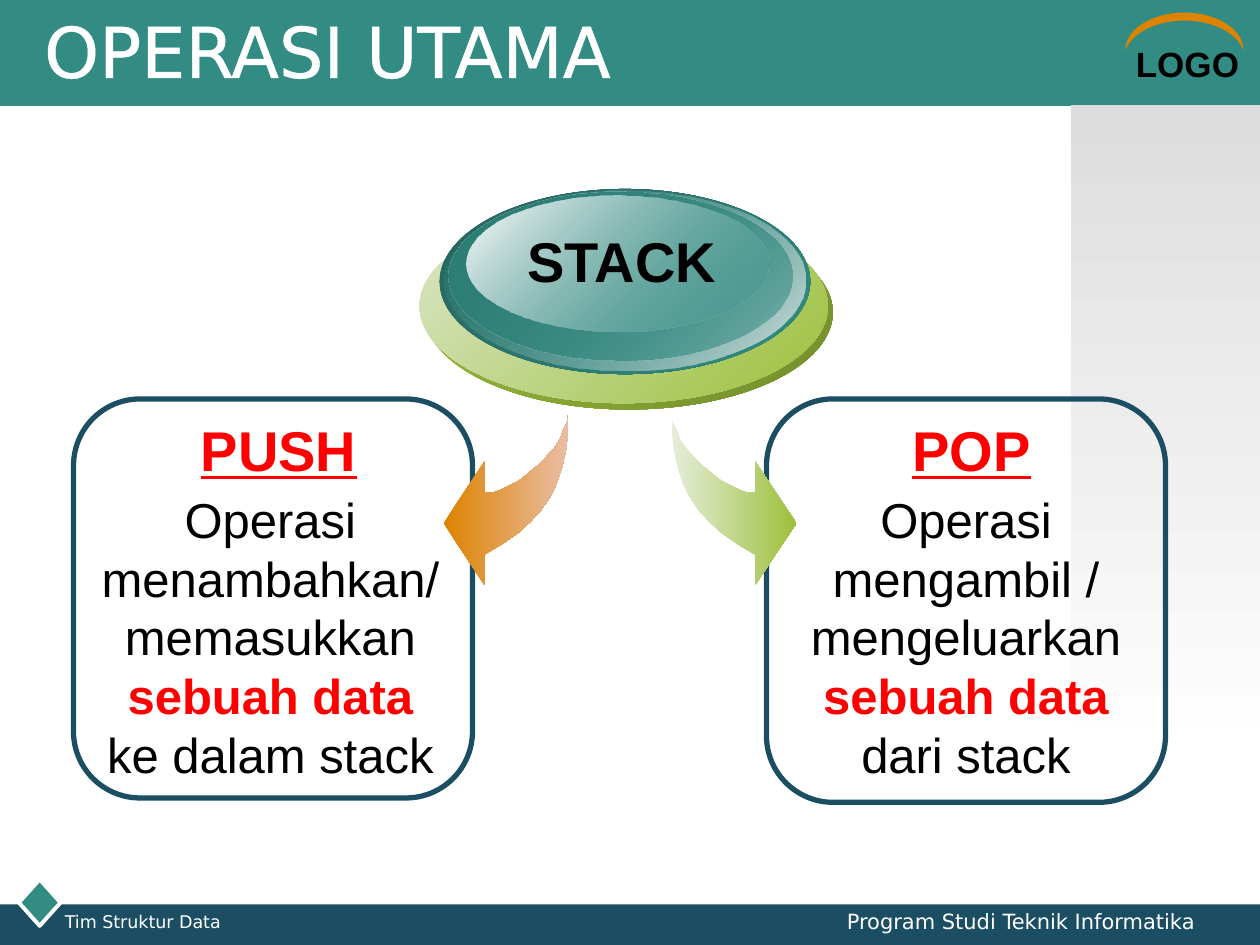
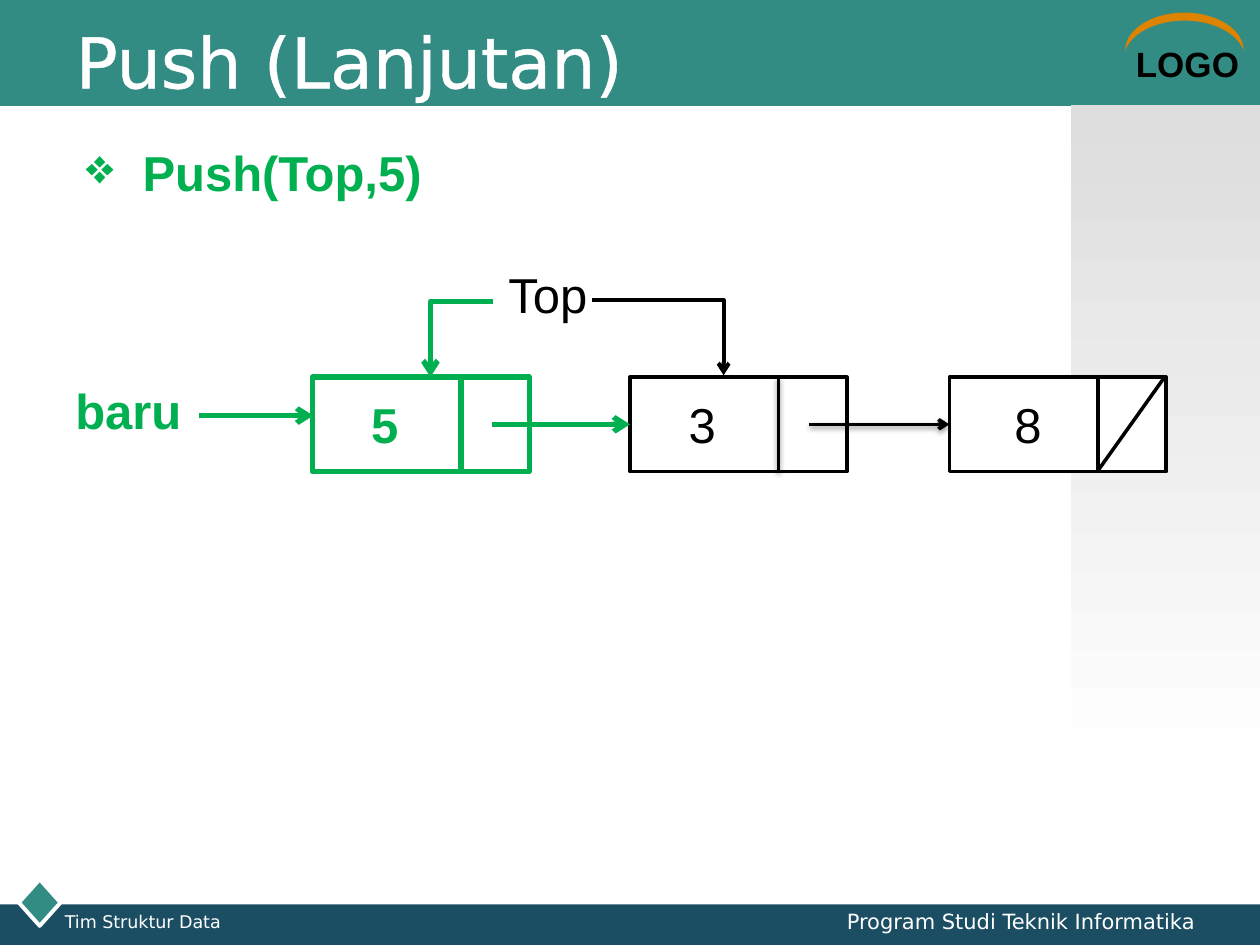
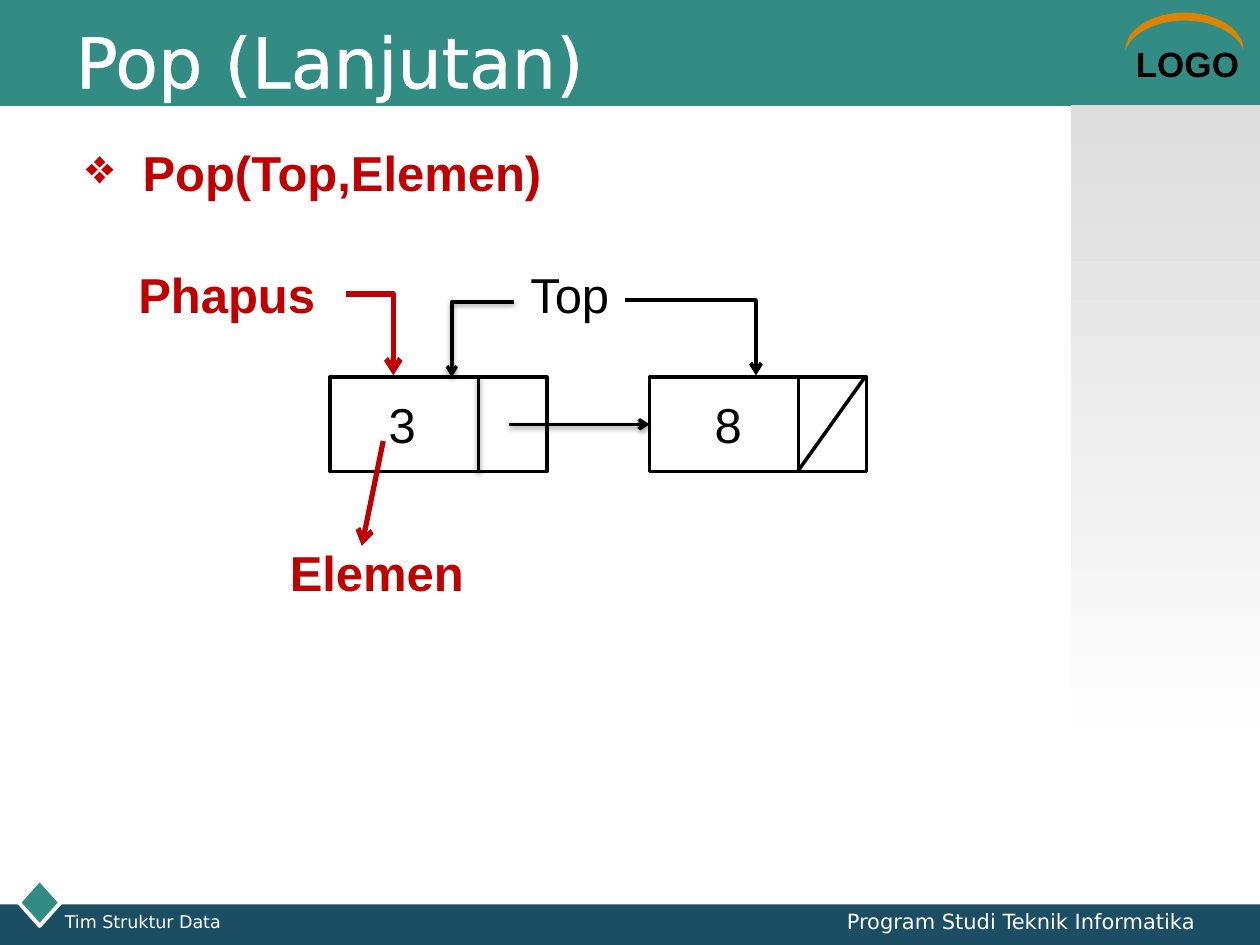
from lxml.etree import SubElement
from pptx import Presentation
from pptx.dml.color import RGBColor
from pptx.enum.shapes import MSO_CONNECTOR, MSO_SHAPE
from pptx.enum.text import MSO_ANCHOR, MSO_AUTO_SIZE, PP_ALIGN
from pptx.oxml.ns import qn
from pptx.util import Pt

TEAL = RGBColor(0x32, 0x8C, 0x83)
DEEP_TEAL = RGBColor(0x24, 0x64, 0x5E)
MID_TEAL = RGBColor(0x2D, 0x7F, 0x76)
PALE_TEAL = RGBColor(0xD5, 0xE0, 0xDE)
NAVY = RGBColor(0x1B, 0x4E, 0x63)
ORANGE = RGBColor(0xDC, 0x83, 0x00)
PALE_ORANGE = RGBColor(0xEA, 0xBD, 0xA4)
LIME = RGBColor(0x9D, 0xC0, 0x3C)
DARK_LIME = RGBColor(0x73, 0x8C, 0x2C)
SOFT_LIME = RGBColor(0xDB, 0xE6, 0xC8)
PALE_LIME = RGBColor(0xE6, 0xED, 0xDA)
GREY = RGBColor(0xDD, 0xDD, 0xDD)
WHITE = RGBColor(0xFF, 0xFF, 0xFF)
BLACK = RGBColor(0x00, 0x00, 0x00)
RED = RGBColor(0xFF, 0x00, 0x00)
GREEN = RGBColor(0x00, 0xB0, 0x50)
DARK_RED = RGBColor(0xC0, 0x00, 0x00)

BODY_FONT = "Arial"
HEAD_FONT = "DejaVu Sans"

NODE_TOP, NODE_W, NODE_H = 215.5, 124, 54
NODE_SPLIT = 85
NODE_MID = NODE_TOP + NODE_H / 2

ARROW_AXIS = 354.25
ARROW_OUTLINE = [
    (29.5, 236), (29.5, 247), (31, 258), (33, 267), (36, 276), (39.5, 283.5),
    (45, 291.5), (51, 298), (58, 304.5), (67.5, 311), (77.5, 317), (77.5, 334),
    (100.8, 299), (77.5, 264), (77.5, 281.5), (72.5, 281.5), (68.5, 280),
    (62.5, 277), (57.5, 274.5), (52.5, 270.5), (47.5, 266.5), (42.5, 261.5),
    (38, 256.5), (34.5, 251.5), (32.5, 246), (30, 241),
]

DISC_LAYERS = [
    ((242.6, 123.1, 233.3, 110.9), (DARK_LIME, LIME)[::-1], (100, 100)),
    ((239.8, 119.5, 233.3, 110.9), (SOFT_LIME, LIME), (100, 100)),
    ((251.3, 108, 211.7, 105.8), (DEEP_TEAL, TEAL), (100, 100)),
    ((254.2, 108.7, 205.9, 103), (TEAL, PALE_TEAL), (0, 100)),
    ((256.3, 109.4, 196.6, 96.5), (MID_TEAL, TEAL), (100, 48)),
    ((266.4, 111.6, 172.8, 77.8), (WHITE, TEAL), (100, 38)),
]


def set_font(font, size, color, name=BODY_FONT, bold=False, underline=False):
    """Format the font of a run or a paragraph."""
    font.size, font.name, font.bold = Pt(size), name, bold
    font.color.rgb = color
    if underline:
        font.underline = True


def set_gradient(sp, colors, angle, alphas=(100, 100)):
    """Give a shape a two-stop gradient at a clockwise angle."""
    sp.fill.gradient()
    sp.fill.gradient_angle = (360 - angle) % 360
    for stop, color in zip(sp.fill.gradient_stops, colors):
        stop.color.rgb = color
    for clr, alpha in zip(list(sp.element.spPr.iter(qn("a:srgbClr"))), alphas):
        if alpha < 100:
            SubElement(clr, qn("a:alpha"), val=str(alpha * 1000))


def set_outline(sp, color=None, width=1):
    """Set the outline of a shape, or remove it, and drop its shadow."""
    sp.shadow.inherit = False
    if color is None:
        sp.line.fill.background()
    else:
        sp.line.color.rgb = color
        sp.line.width = Pt(width)


def add_box(slide, kind, box, fill=None, line=None, width=1):
    """Add a preset shape with a plain fill or none."""
    sp = slide.shapes.add_shape(kind, *map(Pt, box))
    if fill is None:
        sp.fill.background()
    else:
        sp.fill.solid()
        sp.fill.fore_color.rgb = fill
    set_outline(sp, line, width)
    return sp


def add_text(slide, box, text, size, color=BLACK, align=PP_ALIGN.LEFT, wrap=True, **font):
    """Add a text box with one evenly formatted paragraph."""
    sp = slide.shapes.add_textbox(*map(Pt, box))
    tf = sp.text_frame
    tf.word_wrap = wrap
    p = tf.paragraphs[0]
    p.alignment = align
    if text:
        p.text = text
        set_font(p.font, size, color, **font)
    return sp


def add_line(slide, start, end, color=BLACK, width=2, arrow=False, shadow=False, bent=False):
    """Add a straight or right-angled connector."""
    kind = MSO_CONNECTOR.ELBOW if bent else MSO_CONNECTOR.STRAIGHT
    cxn = slide.shapes.add_connector(kind, *map(Pt, start + end))
    cxn.line.color.rgb = color
    cxn.line.width = Pt(width)
    if bent:
        for geom in cxn.element.iter(qn("a:prstGeom")):
            geom.set("prst", "bentConnector2")
    if arrow:
        SubElement(cxn.get_or_add_ln(), qn("a:tailEnd"), type="arrow")
    effects = SubElement(cxn.element.spPr, qn("a:effectLst"))
    if shadow:
        outer = SubElement(effects, qn("a:outerShdw"), blurRad=str(Pt(3.1)),
                           dist=str(Pt(1.6)), dir="5400000", rotWithShape="0")
        clr = SubElement(outer, qn("a:srgbClr"), val=str(BLACK))
        SubElement(clr, qn("a:alpha"), val="38000")
    return cxn


def add_frame(slide, layout):
    """Draw the bands, logo mark and side panel and move them to the layout."""
    diamond_box = (10.8, 502.5, 23.8, 26.6)
    moon = add_box(slide, MSO_SHAPE.MOON, (666, -15.8, 21.6, 67.7), ORANGE)
    moon.rotation = 90
    moon.adjustments[0] = 0.21
    panel = add_box(slide, MSO_SHAPE.RECTANGLE, (612, 60, 108, 378))
    set_gradient(panel, (GREY, WHITE), 90)
    parts = [
        add_box(slide, MSO_SHAPE.RECTANGLE, (0, 0, 720, 60.5), TEAL),
        add_box(slide, MSO_SHAPE.RECTANGLE, (0, 516.75, 720, 23.25), NAVY),
        add_box(slide, MSO_SHAPE.DIAMOND, diamond_box, TEAL, WHITE, 2.25),
        add_text(slide, (642, 21, 78, 31), "LOGO", 20, bold=True),
        moon,
        panel,
    ]
    for sp in parts:
        layout.shapes.element.append(sp.element)


def add_title(slide, text, left, top):
    """Fill and place the title placeholder."""
    sp = slide.shapes.title
    sp.left, sp.top, sp.width, sp.height = map(Pt, (left, top, 648, 45))
    tf = sp.text_frame
    tf.auto_size = MSO_AUTO_SIZE.NONE
    tf.vertical_anchor = MSO_ANCHOR.MIDDLE
    p = tf.paragraphs[0]
    p.alignment = PP_ALIGN.LEFT
    r = p.add_run()
    r.text = text
    set_font(r.font, 40, WHITE, HEAD_FONT)
    for props in sp.element.iter(qn("a:rPr")):
        ln = SubElement(props, qn("a:ln"), w=str(Pt(1.45)))
        fill = SubElement(ln, qn("a:solidFill"))
        SubElement(fill, qn("a:srgbClr"), val=str(WHITE))
        props.insert(0, ln)


def add_footers(slide):
    """Add the two footer texts."""
    add_text(slide, (30, 517, 192, 16.5), "Tim Struktur Data", 10, WHITE, name=HEAD_FONT)
    add_text(slide, (456, 515.5, 234, 24.5), "Program Studi Teknik Informatika", 12, WHITE,
             PP_ALIGN.RIGHT, name=HEAD_FONT)


def add_bullet(slide, text, width, color):
    """Add the bulleted heading under the title."""
    sp = add_text(slide, (42, 78, width, 41), text, 28, color, bold=True)
    for props in sp.element.iter(qn("a:pPr")):
        props.set("marL", str(Pt(32.4)))
        props.set("indent", str(-Pt(32.4)))
        clr = SubElement(props, qn("a:buClr"))
        SubElement(clr, qn("a:srgbClr"), val=str(color))
        bullet = SubElement(props, qn("a:buChar"), char="❖")
        props.insert(0, clr)
        props.insert(1, bullet)


def add_curved_arrow(slide, side, colors):
    """Add a curved arrow to the left (-1) or right (1) of the axis."""
    points = [(Pt(ARROW_AXIS + side * x), Pt(y)) for x, y in ARROW_OUTLINE]
    builder = slide.shapes.build_freeform(*points[0])
    builder.add_line_segments(points[1:], close=True)
    sp = builder.convert_to_shape()
    set_gradient(sp, colors, 0)
    set_outline(sp)


def add_disc(slide, label):
    """Add the layered disc and its label."""
    for box, colors, alphas in DISC_LAYERS:
        sp = add_box(slide, MSO_SHAPE.OVAL, box)
        set_gradient(sp, colors, 45, alphas)
    add_text(slide, (293.75, 126, 123, 46), label, 32, align=PP_ALIGN.CENTER,
             wrap=False, bold=True)


def add_operation(slide, name, name_left, box, before, after):
    """Add the name and description of a stack operation."""
    add_text(slide, (name_left, 234, 160.5, 46), name, 32, RED, PP_ALIGN.CENTER,
             bold=True, underline=True)
    sp = add_text(slide, box, "", 28, align=PP_ALIGN.CENTER)
    p = sp.text_frame.paragraphs[0]
    for text, color in ((before, BLACK), ("sebuah data ", RED), (after, BLACK)):
        r = p.add_run()
        r.text = text
        set_font(r.font, 28, color, bold=color == RED)


def add_label(slide, left, top, width, text, accent=None):
    """Add a pointer name, bold when accented."""
    add_text(slide, (left, top, width, 41), text, 28, accent or BLACK, bold=bool(accent))


def add_node(slide, left, value, accent=None, nil=False):
    """Add a list node and return its rectangle."""
    color, width = accent or BLACK, 3 if accent else 2
    bottom, split = NODE_TOP + NODE_H, left + NODE_SPLIT
    sp = add_box(slide, MSO_SHAPE.RECTANGLE, (left, NODE_TOP, NODE_W, NODE_H),
                 WHITE, color, width)
    add_line(slide, (split, NODE_TOP), (split, bottom), color, width,
             shadow=not (accent or nil))
    add_label(slide, left + (30 if nil else 26.5), 222, 45, value, accent)
    if nil:
        add_line(slide, (left + NODE_W - 1, NODE_TOP), (split - 0.5, bottom))
    return sp


def add_link(slide, node, target, accent=None):
    """Point the link field of one node at the next node."""
    start = (node.left.pt + 102.5, NODE_MID)
    cxn = add_line(slide, start, (target.left.pt, NODE_MID), accent or BLACK,
                   3 if accent else 2, arrow=True, shadow=not accent)
    cxn.end_connect(target, 1)


def add_pointer(slide, start, end, color=BLACK, width=2.25, shadow=False):
    """Add a right-angled arrow that comes down onto a node."""
    add_line(slide, start, end, color, width, arrow=True, shadow=shadow, bent=True)


def fill_overview(slide):
    """Show the two main stack operations."""
    add_title(slide, "OPERASI UTAMA", 18, 6)
    for box in ((438, 228, 228, 230.5), (42, 228, 228, 228)):
        add_box(slide, MSO_SHAPE.ROUNDED_RECTANGLE, box, line=NAVY, width=3)
    add_curved_arrow(slide, -1, (ORANGE, PALE_ORANGE))
    add_curved_arrow(slide, 1, (PALE_LIME, LIME))
    add_disc(slide, "STACK")
    add_operation(slide, "PUSH", 79, (48, 276, 213, 177),
                  "Operasi menambahkan/ memasukkan ", "ke dalam stack")
    add_operation(slide, "POP", 475, (444, 276, 216, 177),
                  "Operasi mengambil / mengeluarkan ", "dari stack")


def fill_push(slide):
    """Show a node pushed onto the stack."""
    add_title(slide, "Push (Lanjutan)", 36, 12)
    add_bullet(slide, "Push(Top,5)", 216, GREEN)
    added = add_node(slide, 178.5, "5", GREEN)
    middle = add_node(slide, 360, "3")
    last = add_node(slide, 542.5, "8", nil=True)
    add_link(slide, middle, last)
    add_link(slide, added, middle, GREEN)
    add_label(slide, 36, 214, 91, "baru", GREEN)
    add_line(slide, (114, 237.5), (179, 237.5), GREEN, 3, arrow=True)
    add_label(slide, 283.5, 147.5, 91, "Top")
    add_pointer(slide, (338.5, 171.5), (413.5, 214.5))
    add_pointer(slide, (281.75, 172.5), (246, 215.5), GREEN, 3)


def fill_pop(slide):
    """Show a node popped off the stack."""
    add_title(slide, "Pop (Lanjutan)", 36, 12)
    add_bullet(slide, "Pop(Top,Elemen)", 300, DARK_RED)
    first = add_node(slide, 188.5, "3")
    last = add_node(slide, 371.25, "8", nil=True)
    add_link(slide, first, last)
    add_label(slide, 72, 147.5, 126, "Phapus", DARK_RED)
    add_label(slide, 296, 147.5, 91, "Top")
    add_label(slide, 158.5, 306.75, 126, "Elemen", DARK_RED)
    add_pointer(slide, (293.75, 172.5), (258.25, 215.5), width=2, shadow=True)
    add_pointer(slide, (198, 168), (224.75, 214.5), DARK_RED, 3)
    add_pointer(slide, (357, 171.5), (432, 214.5))
    add_line(slide, (219, 252), (206.75, 312), DARK_RED, 3, arrow=True)


def main():
    """Build and save the presentation."""
    prs = Presentation()
    prs.slide_width, prs.slide_height = Pt(720), Pt(540)
    layout = prs.slide_layouts[5]
    for number, fill in enumerate((fill_overview, fill_push, fill_pop)):
        slide = prs.slides.add_slide(layout)
        if number == 0:
            add_frame(slide, layout)
        fill(slide)
        add_footers(slide)
    prs.save("out.pptx")


if __name__ == "__main__":
    main()
